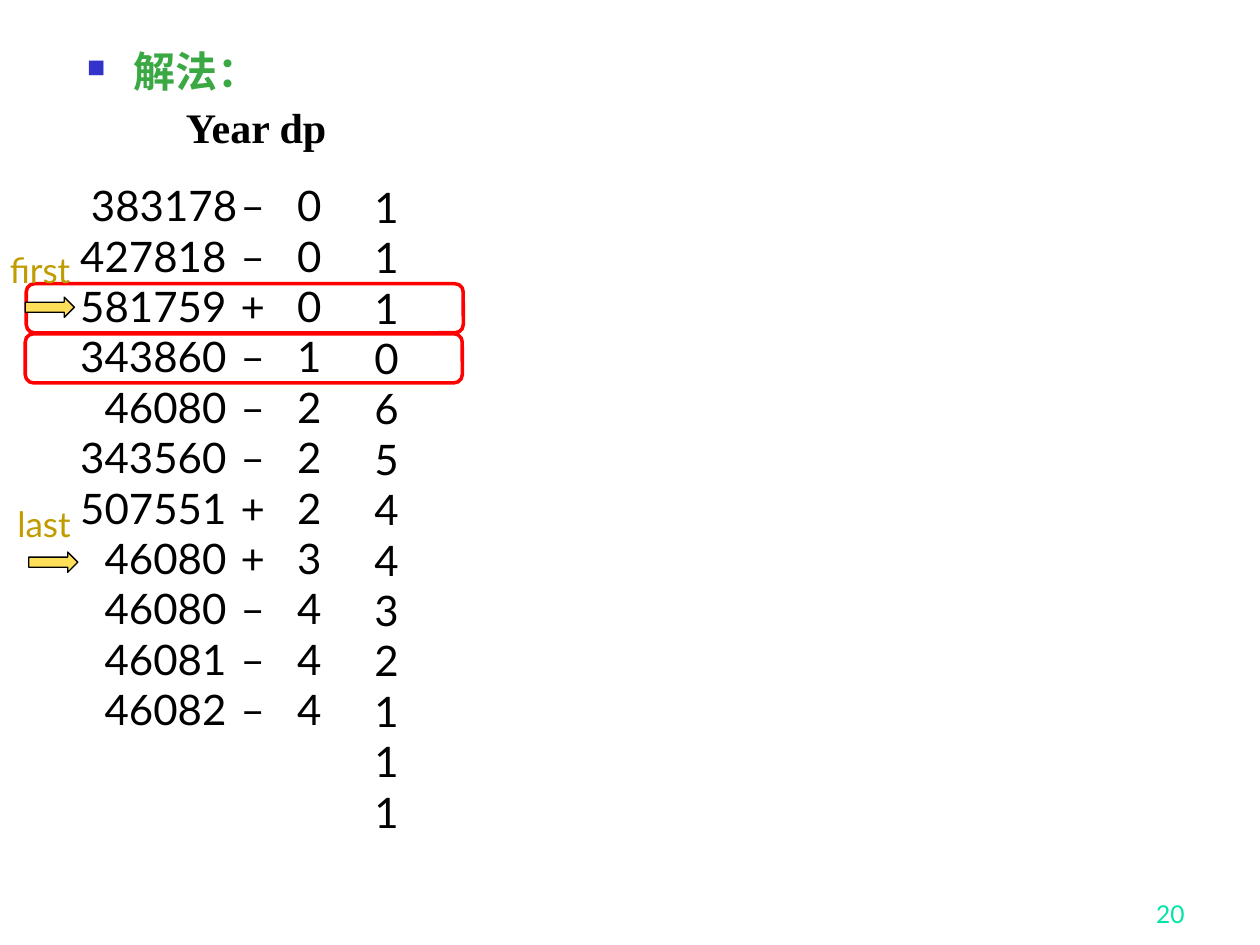
"""Build the solution slide that traces first and last through the Year and dp columns."""
from lxml import etree
from pptx import Presentation
from pptx.dml.color import RGBColor
from pptx.enum.shapes import MSO_SHAPE
from pptx.enum.text import MSO_ANCHOR, PP_ALIGN
from pptx.oxml.ns import qn
from pptx.util import Cm, Pt

LEFT, CENTER, RIGHT = PP_ALIGN.LEFT, PP_ALIGN.CENTER, PP_ALIGN.RIGHT
BOTTOM = MSO_ANCHOR.BOTTOM
ROUNDED, ARROW = MSO_SHAPE.ROUNDED_RECTANGLE, MSO_SHAPE.RIGHT_ARROW
BLACK, RED, GREEN, BLUE = "000000", "FF0000", "3BA943", "3333CC"
GOLD, YELLOW, MINT = "C09C00", "FEDF59", "00E4A8"


def rgb(value):
    return RGBColor.from_string(value)


def add_lines(box, lines, size, color, align=LEFT, font="Lato"):
    left, top, width, height = map(Cm, box)
    frame = slide.shapes.add_textbox(left, top, width, height).text_frame
    frame.word_wrap = True
    frame.text = "\n".join(lines)
    for paragraph in frame.paragraphs:
        paragraph.alignment = align
        for run in paragraph.runs:
            run.font.name = font
            run.font.size = Pt(size)
            run.font.color.rgb = rgb(color)
    return frame


prs = Presentation()
prs.slide_width, prs.slide_height = Cm(25.4), Cm(19.05)
slide = prs.slides.add_slide(prs.slide_layouts[6])

page_number = add_lines((18.85, 17.58, 5.28, 1.27), ["20"], 14, MINT, RIGHT)
page_number.vertical_anchor = BOTTOM

heading = add_lines((1.5, 0.91, 22.43, 15.62), ["解法：", "Year dp"], 24, GREEN,
                    font="Times New Roman")
solution, column_names = heading.paragraphs
for paragraph, margin, indent in ((solution, 0.95, -0.95), (column_names, 2, 0)):
    paragraph.line_spacing = 0.9
    paragraph.runs[0].font.bold = True
    properties = paragraph._p.get_or_add_pPr()
    properties.set("marL", str(Cm(margin)))
    properties.set("indent", str(Cm(indent)))
column_names.space_before = Pt(6)
column_names.runs[0].font.color.rgb = rgb(BLACK)

properties = solution._p.get_or_add_pPr()
bullet_color = etree.SubElement(properties, qn("a:buClr"))
etree.SubElement(bullet_color, qn("a:srgbClr"), val=BLUE)
etree.SubElement(properties, qn("a:buSzPct"), val="60000")
etree.SubElement(properties, qn("a:buChar"), char="■")

years = ["383178", "427818 ", "581759 ", "343860 ", "46080 ", "343560 ",
         "507551 ", "46080 ", "46080 ", "46081 ", "46082 "]
columns = [
    (5.74, 3.5, 0.99, "0 0 0 1 2 2 2 3 4 4 4".split(), CENTER),
    (1.04, 3.5, 3.99, years, RIGHT),
    (4.6, 3.5, 0.99, "– – + – – – + + – – –".split(), CENTER),
    (7.06, 3.53, 1.47, "11 10 6 5 4 4 3 2 1 1 1".split(), CENTER),
]
for left, top, width, values, align in columns:
    add_lines((left, top, width, 11.43), values, 24, BLACK, align)

markers = [
    (ROUNDED, 0.51, 6.73, 8.81, 0.99, None, RED, 2),
    (ROUNDED, 0.53, 5.72, 8.81, 0.99, None, RED, 2),
    (ARROW, 0.58, 11.13, 0.99, 0.41, YELLOW, BLACK, 0.75),
    (ARROW, 0.51, 5.99, 0.99, 0.41, YELLOW, BLACK, 0.75),
]
for kind, left, top, width, height, fill, outline, weight in markers:
    marker = slide.shapes.add_shape(kind, Cm(left), Cm(top), Cm(width), Cm(height))
    marker.shadow.inherit = False
    marker.line.color.rgb = rgb(outline)
    marker.line.width = Pt(weight)
    if fill:
        marker.fill.solid()
        marker.fill.fore_color.rgb = rgb(fill)
    else:
        marker.fill.background()

add_lines((-0.05, 4.88, 1.8, 1.12), ["first"], 20, GOLD)
add_lines((0.1, 10.01, 1.68, 1.12), ["last"], 20, GOLD)

prs.save("out.pptx")
